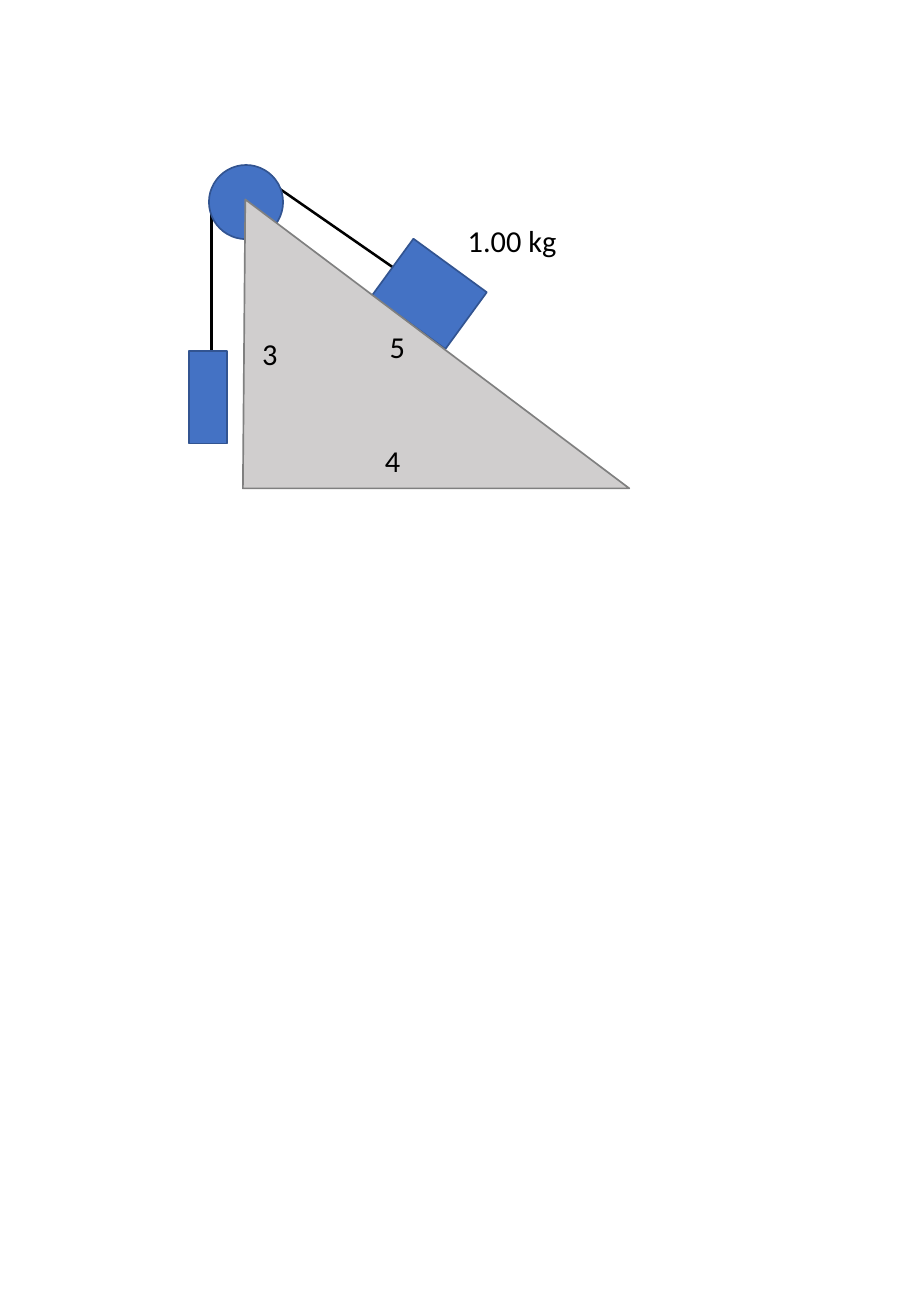
from dataclasses import dataclass
from math import cos, radians, sin

from lxml.etree import SubElement
from pptx import Presentation
from pptx.dml.color import RGBColor as Rgb
from pptx.enum.shapes import MSO_CONNECTOR as Link, MSO_SHAPE as Kind
from pptx.enum.text import MSO_AUTO_SIZE as Fit
from pptx.oxml.ns import qn
from pptx.shapes.autoshape import Shape
from pptx.shapes.connector import Connector
from pptx.shapes.shapetree import SlideShapes as Shapes
from pptx.util import Cm, Pt


@dataclass(frozen=True)
class Theme:
    body: Rgb = Rgb(0x44, 0x72, 0xC4)
    edge: Rgb = Rgb(0x32, 0x54, 0x91)
    slope: Rgb = Rgb(0xD0, 0xCE, 0xCE)
    rim: Rgb = Rgb(0x80, 0x80, 0x80)
    ink: Rgb = Rgb(0, 0, 0)
    font: str = "Calibri"
    size: float = 18
    thin: float = 1
    cord: float = 1.5


@dataclass(frozen=True)
class Body:
    """A preset shape; lengths in centimetres, turn in degrees."""
    kind: Kind
    left: float
    top: float
    width: float
    height: float
    turn: float = 0

    def side(self) -> tuple[float, float]:
        """Middle of the left side after the turn."""
        angle, half = radians(self.turn), self.width / 2
        return (self.left + half - half * cos(angle),
                self.top + self.height / 2 - half * sin(angle))


@dataclass(frozen=True)
class Label:
    text: str
    left: float
    top: float
    width: float = 0.84


THEME = Theme()
PULLEY = Body(Kind.OVAL, 4.37, 3.45, 1.55, 1.55)
BLOCK = Body(Kind.RECTANGLE, 8.03, 5.41, 1.9, 1.47, 36.1)
WEIGHT = Body(Kind.RECTANGLE, 3.96, 7.34, 0.79, 1.93)
WEDGE = [(5.13, 4.17), (5.08, 10.21), (13.16, 10.21)]
LABELS = [
    Label("3", 5.23, 6.88),
    Label("4", 7.8, 9.12),
    Label("5", 7.9, 6.73),
    Label("1.00 kg", 9.53, 4.52, 2.39),
]


def paint(shape: Shape, fill: Rgb, edge: Rgb) -> None:
    shape.shadow.inherit = False
    shape.fill.solid()
    shape.fill.fore_color.rgb = fill
    shape.line.color.rgb = edge
    shape.line.width = Pt(THEME.thin)


def add_body(shapes: Shapes, body: Body) -> Shape:
    shape = shapes.add_shape(body.kind, Cm(body.left), Cm(body.top),
                             Cm(body.width), Cm(body.height))
    shape.rotation = body.turn
    paint(shape, THEME.body, THEME.edge)
    return shape


def add_cord(shapes: Shapes, start: tuple[float, float],
             end: tuple[float, float]) -> Connector:
    cord = shapes.add_connector(Link.STRAIGHT, *map(Cm, start + end))
    cord.line.color.rgb = THEME.ink
    cord.line.width = Pt(THEME.cord)
    SubElement(cord._element.spPr, qn("a:effectLst"))
    return cord


def tie(cord: Connector, shape: Shape, body: Body) -> None:
    """Join the cord to the left side, keeping its end on the turned edge."""
    cord.end_connect(shape, 1)
    cord.end_x, cord.end_y = map(Cm, body.side())


def add_wedge(shapes: Shapes, points: list[tuple[float, float]]) -> None:
    first, *rest = [(Cm(x), Cm(y)) for x, y in points]
    outline = shapes.build_freeform(*first)
    outline.add_line_segments(rest, close=True)
    paint(outline.convert_to_shape(), THEME.slope, THEME.rim)


def add_text(shapes: Shapes, text: str, *, left: float, top: float,
             width: float, height: float = 1.02, size: float = THEME.size,
             color: Rgb = THEME.ink) -> None:
    frame = shapes.add_textbox(Cm(left), Cm(top), Cm(width), Cm(height)).text_frame
    frame.word_wrap = False
    frame.auto_size = Fit.SHAPE_TO_FIT_TEXT
    run = frame.paragraphs[0].add_run()
    run.text = text
    run.font.name = THEME.font
    run.font.size = Pt(size)
    run.font.color.rgb = color


def main() -> None:
    deck = Presentation()
    deck.slide_width, deck.slide_height = Cm(19.05), Cm(27.51)
    shapes = deck.slides.add_slide(deck.slide_layouts[6]).shapes
    add_cord(shapes, (4.42, 4.24), (4.42, 7.85))
    cord = add_cord(shapes, (5.13, 3.45), BLOCK.side())
    add_body(shapes, PULLEY)
    tie(cord, add_body(shapes, BLOCK), BLOCK)
    add_wedge(shapes, WEDGE)
    add_body(shapes, WEIGHT)
    for label in LABELS:
        add_text(shapes, label.text, left=label.left, top=label.top,
                 width=label.width)
    deck.save("out.pptx")


if __name__ == "__main__":
    main()
